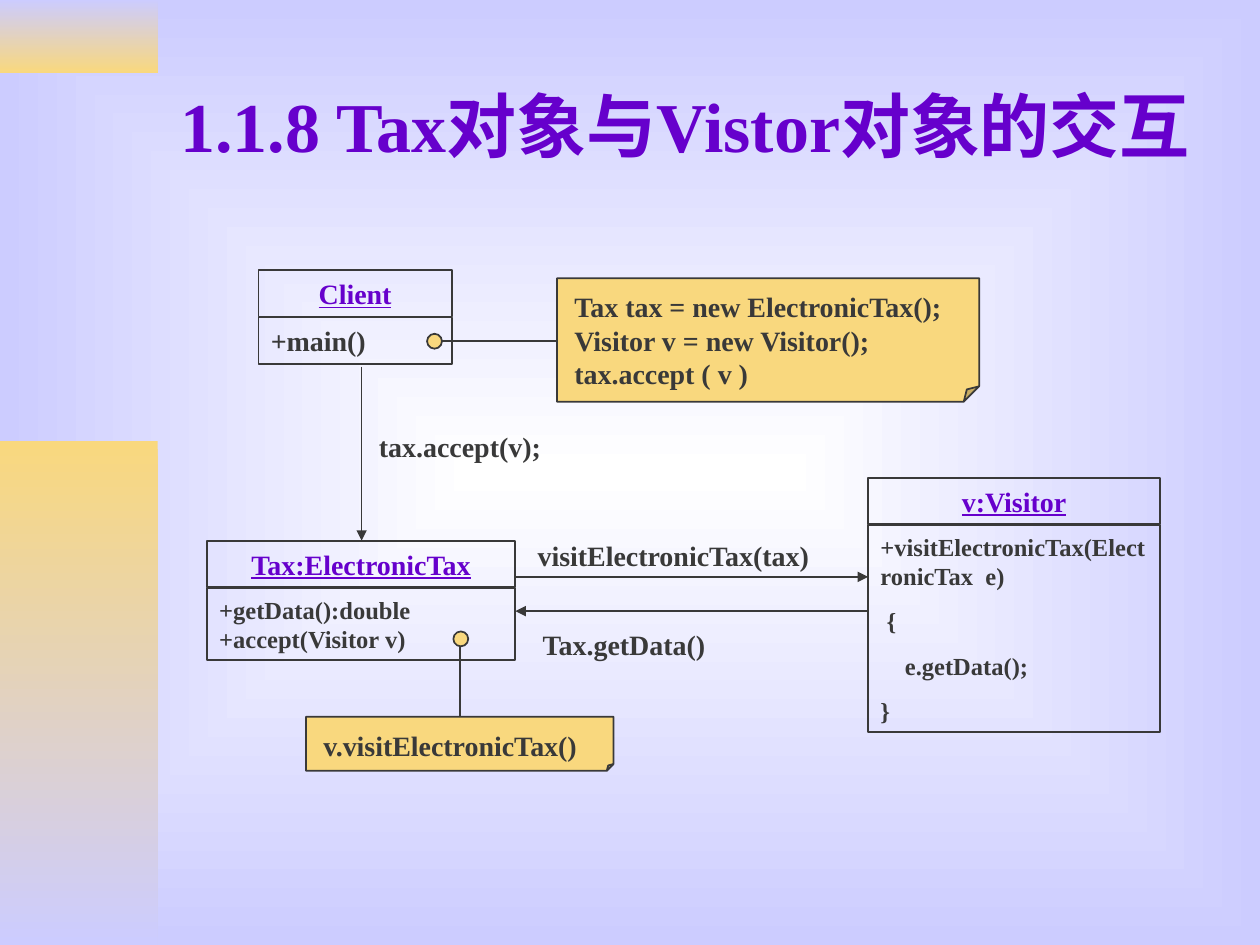
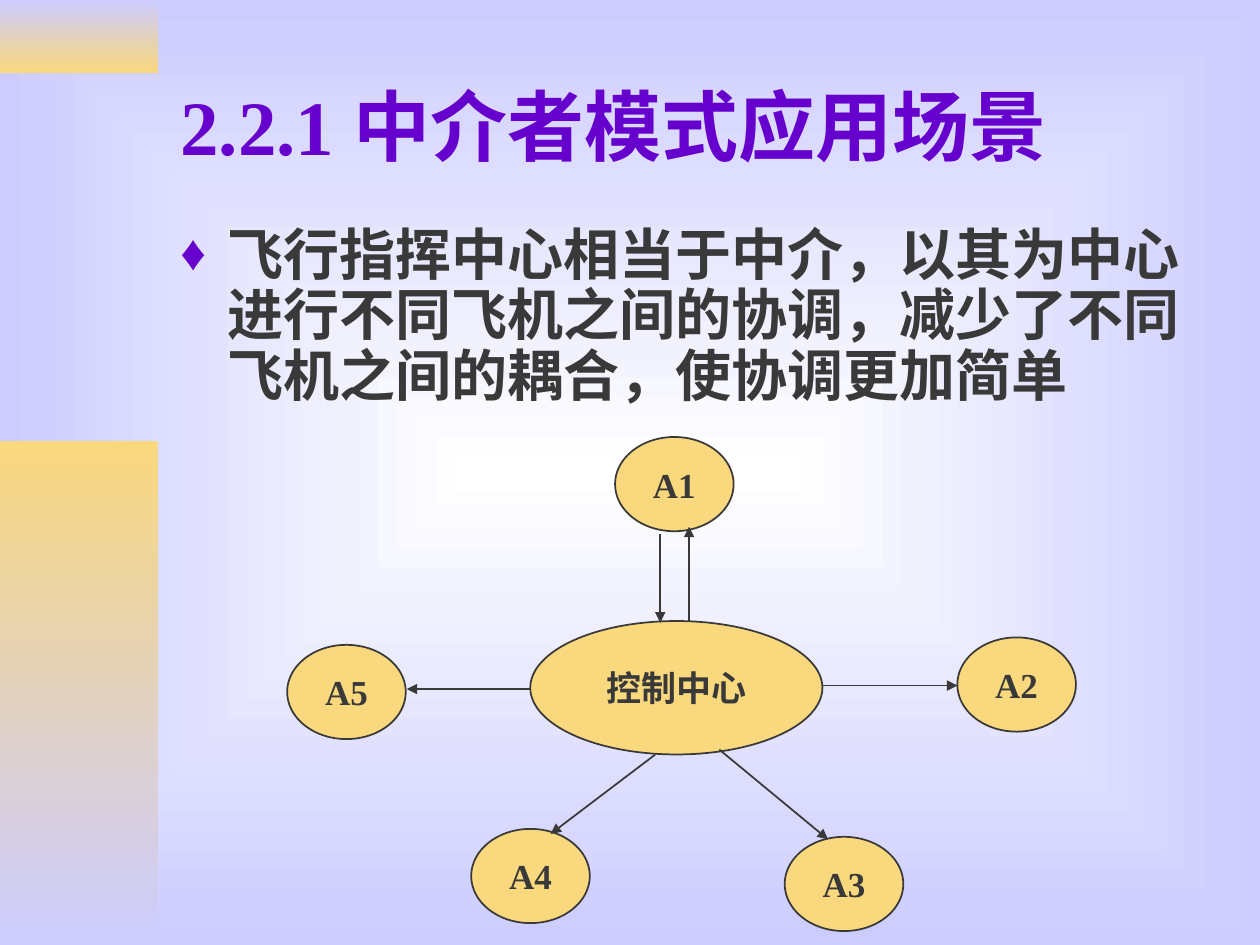
from lxml import etree
from pptx import Presentation
from pptx.dml.color import RGBColor
from pptx.enum.shapes import MSO_CONNECTOR, MSO_SHAPE as Preset
from pptx.enum.text import MSO_ANCHOR as Anchor, MSO_AUTO_SIZE as AutoSize, PP_ALIGN as Align
from pptx.oxml import parse_xml
from pptx.oxml.ns import nsdecls, qn
from pptx.util import Cm, Pt

PURPLE = RGBColor(0x66, 0x00, 0xCC)
GRAY = RGBColor(0x39, 0x39, 0x39)
GOLD = RGBColor(0xF9, 0xD8, 0x7E)
LILAC = RGBColor(0xCC, 0xCC, 0xFF)
WHITE = RGBColor(0xFF, 0xFF, 0xFF)
FONT = "Times New Roman"


def add_box(page, preset, at, text="", size=16, color=GRAY, fill=None,
            align=Align.LEFT, anchor=Anchor.TOP, inset=(0.25, 0.13)):
    """Add a shape, or a plain text box when there is no preset."""
    place = [Cm(length) for length in at]
    if preset is None:
        box = page.shapes.add_textbox(*place)
    else:
        box = page.shapes.add_shape(preset, *place)
        box.shadow.inherit = False
        box.line.color.rgb = GRAY
        box.line.width = Pt(1)
        if fill is None:
            box.fill.background()
        else:
            box.fill.solid()
            box.fill.fore_color.rgb = fill
    if text:
        frame = box.text_frame
        frame.word_wrap = True
        frame.vertical_anchor = anchor
        frame.margin_left = frame.margin_right = Cm(inset[0])
        frame.margin_top = frame.margin_bottom = Cm(inset[1])
        frame.text = text
        for number, para in enumerate(frame.paragraphs):
            para.alignment = align
            para.space_before = Pt(8.8 if number else 0)
            para.font.name = FONT
            para.font.size = Pt(size)
            para.font.bold = True
            para.font.color.rgb = color
    return box


def add_link(page, start_x, start_y, end_x, end_y, arrow=True):
    link = page.shapes.add_connector(
        MSO_CONNECTOR.STRAIGHT, Cm(start_x), Cm(start_y), Cm(end_x), Cm(end_y))
    link.line.color.rgb = GRAY
    link.line.width = Pt(1)
    if arrow:
        outline = link.element.spPr.find(qn("a:ln"))
        etree.SubElement(outline, qn("a:tailEnd"), type="triangle")
    etree.SubElement(link.element.spPr, qn("a:effectLst"))


deck = Presentation()
deck.slide_width, deck.slide_height = Cm(25.4), Cm(19.05)
master = deck.slide_master
tax_page = deck.slides.add_slide(deck.slide_layouts[5])
mediator_page = deck.slides.add_slide(deck.slide_layouts[1])

# Shared background: light centre fading to lilac
backdrop = master.background.fill
backdrop.gradient()
for stop, color in zip(backdrop.gradient_stops, (WHITE, LILAC)):
    stop.color.rgb = color
linear = master.element.find(".//" + qn("p:bg")).find(".//" + qn("a:lin"))
linear.getparent().replace(linear, parse_xml(
    f'<a:path {nsdecls("a")} path="rect">'
    '<a:fillToRect l="50000" t="50000" r="50000" b="50000"/></a:path>'))

# Shared side bands, moved onto the master
for number, (top, height, colors) in enumerate(
        [(0, 1.47, (LILAC, GOLD)), (8.89, 10.16, (GOLD, LILAC))]):
    band = add_box(tax_page, Preset.RECTANGLE, (0, top, 3.18, height))
    band.line.fill.background()
    band.fill.gradient()
    band.fill.gradient_angle = 270
    for stop, color in zip(band.fill.gradient_stops, colors):
        stop.color.rgb = color
    band.element.nvSpPr.cNvPr.set("id", str(100 + number))
    master.shapes.element.insert(2 + number, band.element)

# Titles
for page, text, size in [(tax_page, "1.1.8 Tax对象与Vistor对象的交互", 40),
                         (mediator_page, "2.2.1 中介者模式应用场景", 44)]:
    title = page.shapes.title
    title.left, title.top, title.width, title.height = Cm(3.38), Cm(0.84), Cm(21.59), Cm(3.35)
    title.text_frame.text = text
    title.text_frame.auto_size = AutoSize.NONE
    title.text_frame.vertical_anchor = Anchor.MIDDLE
    para = title.text_frame.paragraphs[0]
    para.alignment = Align.LEFT
    para.font.name = FONT
    para.font.size = Pt(size)
    para.font.bold = True
    para.font.color.rgb = PURPLE

# Slide 1: class boxes, each a name above its members
HEAD_HEIGHT, MEMBER_OFFSET = 0.94, 0.96
classes = [
    ("Tax:ElectronicTax", "+getData():double\v+accept(Visitor v)", 14, 4.17, 10.9, 6.22, 1.45),
    ("v:Visitor", "+visitElectronicTax(ElectronicTax  e)\n {\n    e.getData();\n}",
     14, 17.5, 9.63, 5.89, 4.17),
    ("Client", "+main()", 16, 5.21, 5.44, 3.9, 0.94),
]
for name, members, size, left, top, width, height in classes:
    add_box(tax_page, Preset.RECTANGLE, (left, top + MEMBER_OFFSET, width, height), members, size)
    head = add_box(tax_page, Preset.RECTANGLE, (left, top, width, HEAD_HEIGHT), name,
                   color=PURPLE, align=Align.CENTER)
    head.text_frame.paragraphs[0].font.underline = True

# Code notes, with a small folded corner
notes = [
    ("v.visitElectronicTax()", (6.17, 14.45, 6.2, 1.09)),
    ("Tax tax = new ElectronicTax();\vVisitor v = new Visitor();\vtax.accept ( v )",
     (11.23, 5.61, 8.51, 2.49)),
]
for code, at in notes:
    note = add_box(tax_page, Preset.FOLDED_CORNER, at, code, fill=GOLD, inset=(0.35, 0.23))
    guides = note.element.spPr.find(".//" + qn("a:avLst"))
    etree.SubElement(guides, qn("a:gd"), name="adj", fmla="val 12500")

# Dots that tie members to notes
for left, top in [(8.61, 6.73), (9.14, 12.73)]:
    add_box(tax_page, Preset.OVAL, (left, top, 0.3, 0.3), fill=GOLD)
add_link(tax_page, 8.9, 6.88, 11.2, 6.88, arrow=False)
add_link(tax_page, 9.27, 13.03, 9.27, 14.43, arrow=False)

# Calls between objects
for call, left, top, width in [("tax.accept(v);", 7.39, 8.53, 4.09),
                               ("visitElectronicTax(tax)", 10.59, 10.72, 6.5),
                               ("Tax.getData()", 10.69, 12.52, 6.5)]:
    add_box(tax_page, None, (left, top, width, 0.94), call)
for ends in [(7.29, 7.39, 7.29, 10.9),
             (10.39, 11.63, 17.5, 11.63),
             (17.5, 12.32, 10.39, 12.32)]:
    add_link(tax_page, *ends)

# Slide 2: bullet text
body = mediator_page.placeholders[1]
body.left, body.top, body.width, body.height = Cm(3.38), Cm(4.45), Cm(21.59), Cm(4.29)
body.text_frame.text = ("飞行指挥中心相当于中介，以其为中心进行不同飞机之间的协调，"
                        "减少了不同飞机之间的耦合，使协调更加简单")
body.text_frame.auto_size = AutoSize.NONE
para = body.text_frame.paragraphs[0]
para.line_spacing = 0.9
para.space_before = Pt(0)
props = para._p.get_or_add_pPr()
props.set("marL", str(Cm(0.95)))
props.set("indent", str(-Cm(0.95)))
bullet_color = etree.SubElement(props, qn("a:buClr"))
etree.SubElement(bullet_color, qn("a:srgbClr"), val=str(PURPLE))
etree.SubElement(props, qn("a:buSzPct"), val="90000")
etree.SubElement(props, qn("a:buFont"), typeface=FONT)
etree.SubElement(props, qn("a:buChar"), char="♦")
para.font.name = FONT
para.font.size = Pt(32)
para.font.bold = True
para.font.color.rgb = GRAY

# Control centre and the aircraft around it
ovals = [
    ("A1", 12.4, 8.81, 2.39, 1.9),
    ("A2", 19.3, 12.85, 2.39, 1.9),
    ("A3", 15.82, 16.87, 2.39, 1.9),
    ("A4", 9.5, 16.71, 2.39, 1.9),
    ("A5", 5.79, 13, 2.39, 1.9),
    ("控制中心", 10.69, 12.52, 5.89, 2.69),
]
for name, *at in ovals:
    add_box(mediator_page, Preset.OVAL, at, name, size=20, fill=GOLD,
            align=Align.CENTER, anchor=Anchor.MIDDLE, inset=(0, 0))
for ends in [(13.31, 10.77, 13.31, 12.55), (13.89, 12.52, 13.89, 10.62),
             (10.69, 13.89, 8.2, 13.89), (16.59, 13.82, 19.3, 13.82),
             (13.21, 15.21, 11.1, 16.81), (14.5, 15.11, 16.69, 16.92)]:
    add_link(mediator_page, *ends)

deck.save("out.pptx")
